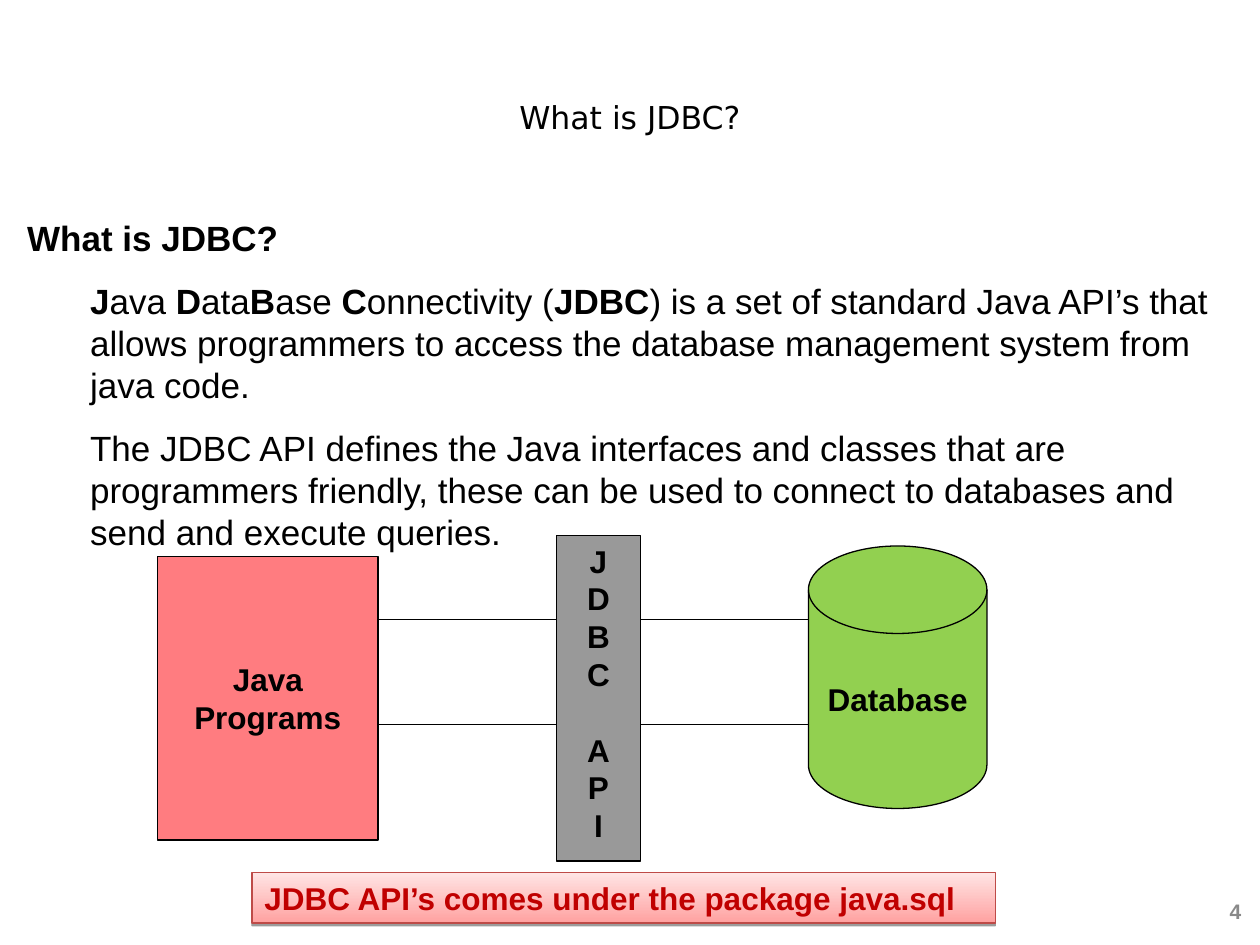
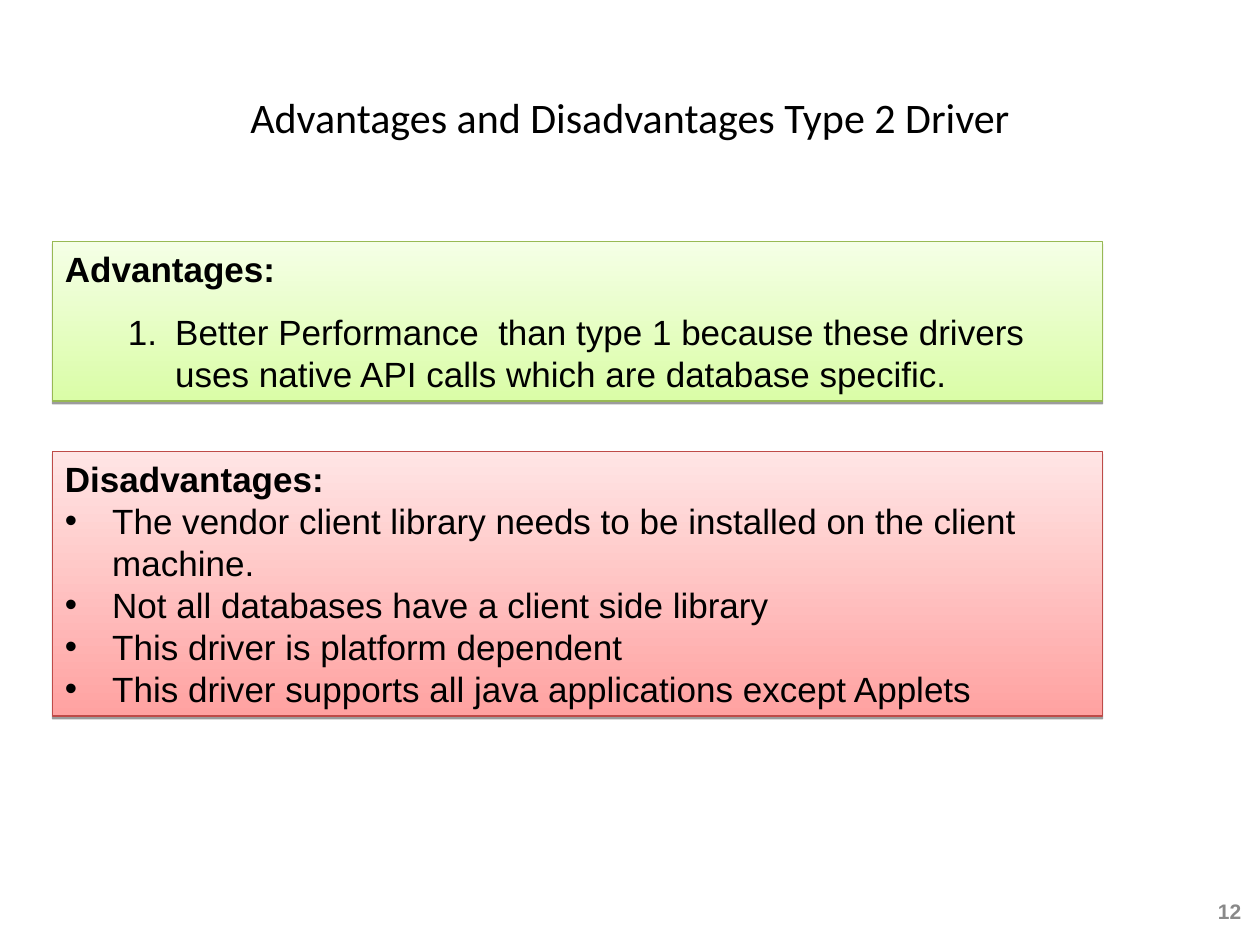
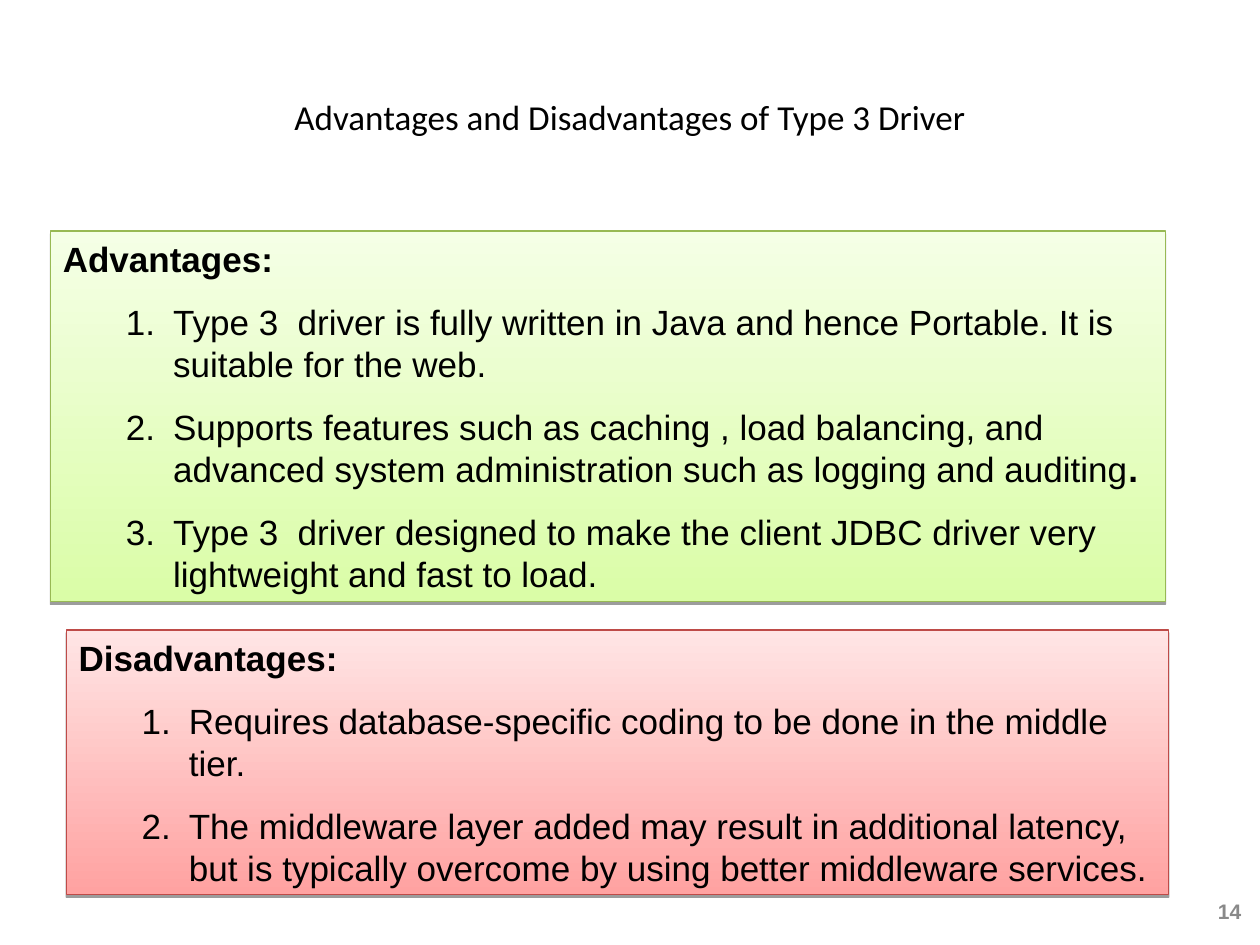
from collections import namedtuple
from dataclasses import dataclass

from lxml.etree import SubElement
from pptx import Presentation
from pptx.dml.color import RGBColor
from pptx.enum.shapes import MSO_CONNECTOR, MSO_SHAPE
from pptx.enum.text import MSO_ANCHOR, PP_ALIGN
from pptx.oxml.ns import qn
from pptx.util import Pt

PX = 7620  # EMU per px, 120 px to the inch
RECT, DISK = MSO_SHAPE.RECTANGLE, MSO_SHAPE.FLOWCHART_MAGNETIC_DISK
TOP, MIDDLE = MSO_ANCHOR.TOP, MSO_ANCHOR.MIDDLE
LEFT, CENTER, RIGHT = PP_ALIGN.LEFT, PP_ALIGN.CENTER, PP_ALIGN.RIGHT


@dataclass(frozen=True)
class Theme:
    font: str = "Arial"
    ink: str = "000000"
    muted: str = "898989"
    accent: str = "C00000"
    program: str = "FF7C80"
    api: str = "999999"
    database: str = "92D050"
    # Bottom colour, top colour, and the edge of a gradient panel
    red: tuple = ("FFA2A1", "FFE5E5", "BE4B48")
    green: tuple = ("DAFDA7", "F5FFE6", "98B954")
    body: int = 20
    label: int = 18
    number: int = 12
    line: float = 0.75
    leading: float = 1.2


T = Theme()

# Left margin and hanging indent in px, space before in points, bullet tag
Style = namedtuple("Style", "left hang gap bullet")
PLAIN = Style(0, 0, 0, None)
WORD = Style(0, 0, 21.6, None)
INDENTED = Style(60, 0, 12, None)
NUMBERED = Style(105, 45, 12, ("a:buAutoNum", "type", "arabicPeriod"))
BULLETED = Style(45, 45, 0, ("a:buChar", "char", "•"))


def write(tf, lines, size, color=T.ink, align=LEFT, anchor=TOP):
    """Fill a frame with (style, text) lines; ** switches bold on and off."""
    tf.word_wrap = True
    tf.vertical_anchor = anchor
    for i, (style, text) in enumerate(lines):
        p = tf.add_paragraph() if i else tf.paragraphs[0]
        p.alignment = align
        p.line_spacing = Pt(size * T.leading)
        if style.gap:
            p.space_before = Pt(style.gap)
        pPr = p._p.get_or_add_pPr()
        pPr.set("marL", str(style.left * PX))
        pPr.set("indent", str(-style.hang * PX))
        if style.bullet:
            tag, key, value = style.bullet
            SubElement(pPr, qn("a:buFont")).set("typeface", T.font)
            SubElement(pPr, qn(tag)).set(key, value)
        for n, part in enumerate(text.split("**")):
            if part:
                r = p.add_run()
                r.text = part
                r.font.name, r.font.size = T.font, Pt(size)
                r.font.bold = n % 2 == 1
                r.font.color.rgb = RGBColor.from_string(color)


def add_box(s, kind, place, fill):
    """Add a flat shape, or a shadowed gradient panel if fill is a tuple."""
    sp = s.shapes.add_shape(kind, *(v * PX for v in place))
    sp.shadow.inherit = False
    sp.line.width = Pt(T.line)
    if isinstance(fill, str):
        sp.fill.solid()
        sp.fill.fore_color.rgb = RGBColor.from_string(fill)
        sp.line.color.rgb = RGBColor.from_string(T.ink)
        return sp.text_frame
    *stops, edge = fill
    sp.fill.gradient()
    sp.fill.gradient_angle = 90
    for stop, color in zip(sp.fill.gradient_stops, stops):
        stop.color.rgb = RGBColor.from_string(color)
    sp.line.color.rgb = RGBColor.from_string(edge)
    effects = sp._element.spPr.find(qn("a:effectLst"))
    shadow = SubElement(effects, qn("a:outerShdw"), blurRad="0",
                        dist=str(Pt(1.6)), dir="5400000", rotWithShape="0")
    tint = SubElement(shadow, qn("a:srgbClr"), val=T.ink)
    SubElement(tint, qn("a:alpha"), val="38000")
    return sp.text_frame


prs = Presentation()
prs.slide_width, prs.slide_height = 1200 * PX, 900 * PX

# Titles and slide numbers
slides = []
for title, font, size, number in (
    ("What is JDBC?", "DejaVu Sans", 18, 4),
    ("Advantages and Disadvantages Type 2 Driver", "Calibri", 24, 12),
    ("Advantages and Disadvantages of Type 3 Driver", "Calibri", 20, 14),
):
    s = prs.slides.add_slide(prs.slide_layouts[5])
    sp = s.shapes.title
    sp.left, sp.top, sp.width, sp.height = (v * PX for v in (60, 36, 1080, 150))
    sp.text_frame.vertical_anchor = MIDDLE
    p = sp.text_frame.paragraphs[0]
    p.alignment = CENTER
    r = p.add_run()
    r.text = title
    r.font.name, r.font.size = font, Pt(size)
    r.font.color.rgb = RGBColor.from_string(T.ink)
    sp = s.shapes.add_textbox(*(v * PX for v in (1135, 847, 59, 42)))
    write(sp.text_frame, [(PLAIN, f"**{number}**")], T.number, T.muted, RIGHT, MIDDLE)
    slides.append(s)
intro, type2, type3 = slides

# What is JDBC: programs, API and database
for kind, place, fill, anchor, lines in (
    (RECT, (150, 530, 210, 270), T.program, MIDDLE, [(PLAIN, "**Java Programs**")]),
    (RECT, (530, 510, 80, 310), T.api, TOP,
     [(WORD if c == "A" else PLAIN, f"**{c}**") for c in "JDBCAPI"]),
    (DISK, (770, 520, 170, 250), T.database, MIDDLE, [(PLAIN, "**Database**")]),
):
    write(add_box(intro, kind, place, fill), lines, T.label, align=CENTER, anchor=anchor)

sp = intro.shapes.add_textbox(*(v * PX for v in (14, 200, 1160, 392)))
write(sp.text_frame, [
    (PLAIN, "**What is JDBC?**"),
    (INDENTED, "**J**ava **D**ata**B**ase **C**onnectivity (**JDBC**) is a set of "
               "standard Java API’s that allows programmers to access the database "
               "management system from java code."),
    (INDENTED, "The JDBC API defines the Java interfaces and classes that are "
               "programmers friendly, these can be used to connect to databases and "
               "send and execute queries."),
], T.body)

for y in (590, 690):
    for x1, x2 in ((360, 530), (610, 770)):
        link = intro.shapes.add_connector(
            MSO_CONNECTOR.STRAIGHT, x1 * PX, y * PX, x2 * PX, y * PX)
        link.line.width = Pt(T.line)
        link.line.color.rgb = RGBColor.from_string(T.ink)
        SubElement(link._element.spPr, qn("a:effectLst"))

write(add_box(intro, RECT, (240, 831, 708, 48), T.red),
      [(PLAIN, "**JDBC API’s comes under the package java.sql**")], T.label, T.accent)

# Advantages and disadvantages of each driver type
for s, place, fill, heading, style, items in (
    (type2, (50, 430, 1000, 252), T.red, "Disadvantages:", BULLETED, (
        "The vendor client library needs to be installed on the client machine.",
        "Not all databases have a client side library",
        "This driver is platform dependent",
        "This driver supports all java applications except Applets")),
    (type2, (50, 230, 1000, 152), T.green, "Advantages:", NUMBERED, (
        "Better Performance  than type 1 because these drivers uses native API "
        "calls which are database specific.",)),
    (type3, (63, 600, 1050, 252), T.red, "Disadvantages:", NUMBERED, (
        "Requires database-specific coding to be done in the middle tier.",
        "The middleware layer added may result in additional latency, but is "
        "typically overcome by using better middleware services.")),
    (type3, (48, 220, 1062, 353), T.green, "Advantages:", NUMBERED, (
        "Type 3  driver is fully written in Java and hence Portable. It is "
        "suitable for the web.",
        "Supports features such as caching , load balancing, and advanced system "
        "administration such as logging and auditing**.**",
        "Type 3  driver designed to make the client JDBC driver very lightweight "
        "and fast to load.")),
):
    lines = [(PLAIN, f"**{heading}**")] + [(style, item) for item in items]
    write(add_box(s, RECT, place, fill), lines, T.body)

prs.save("out.pptx")
